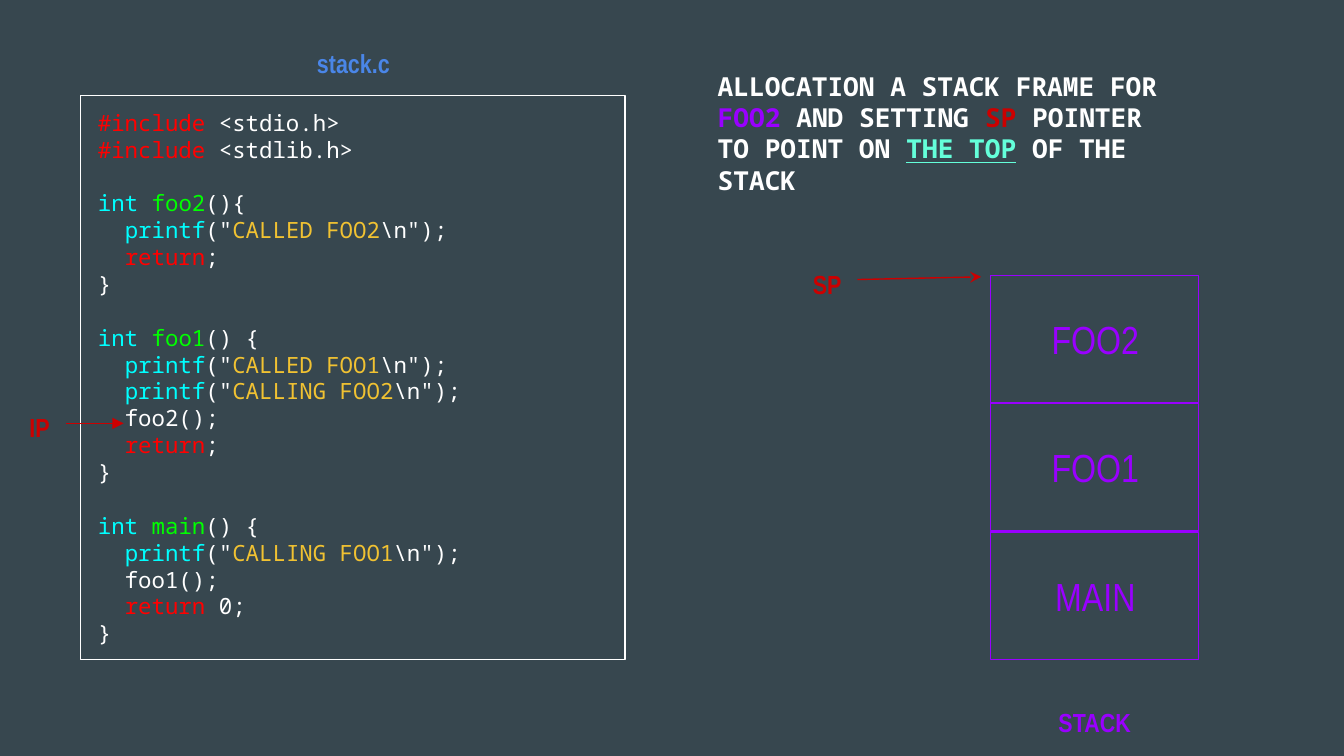
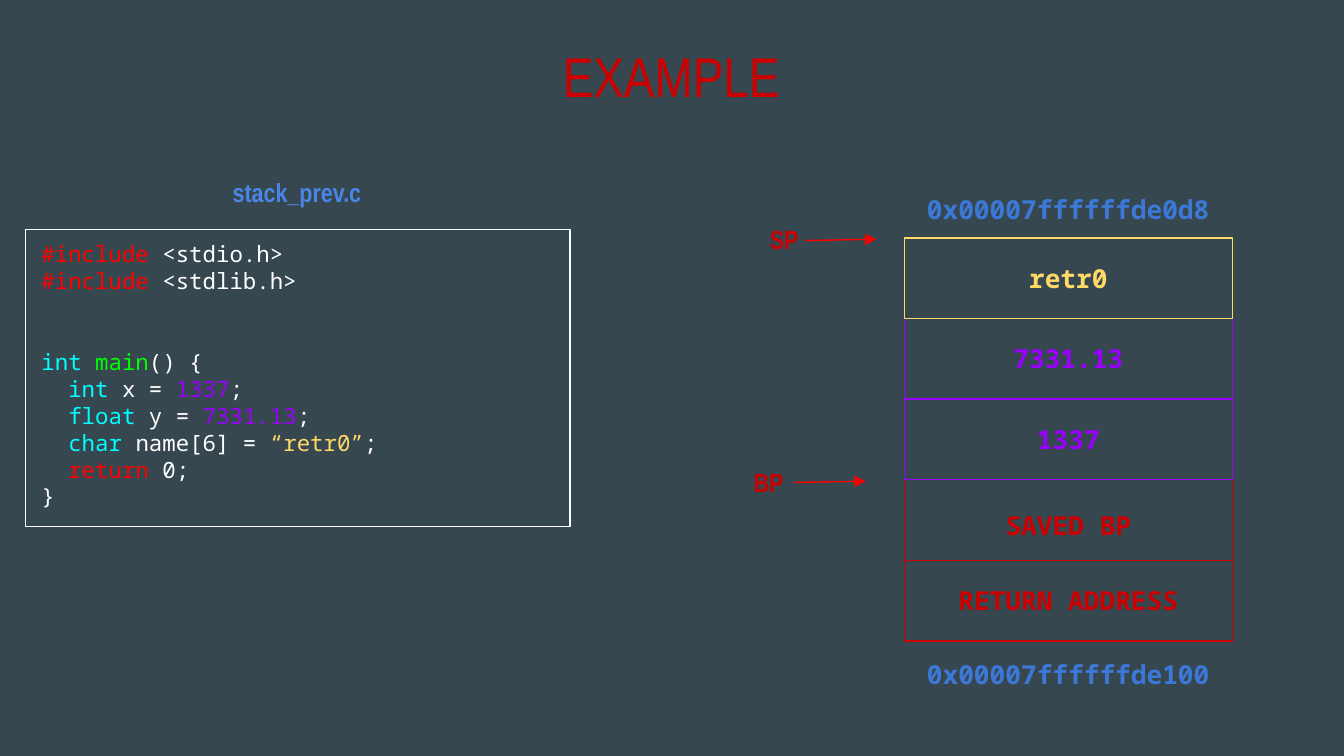
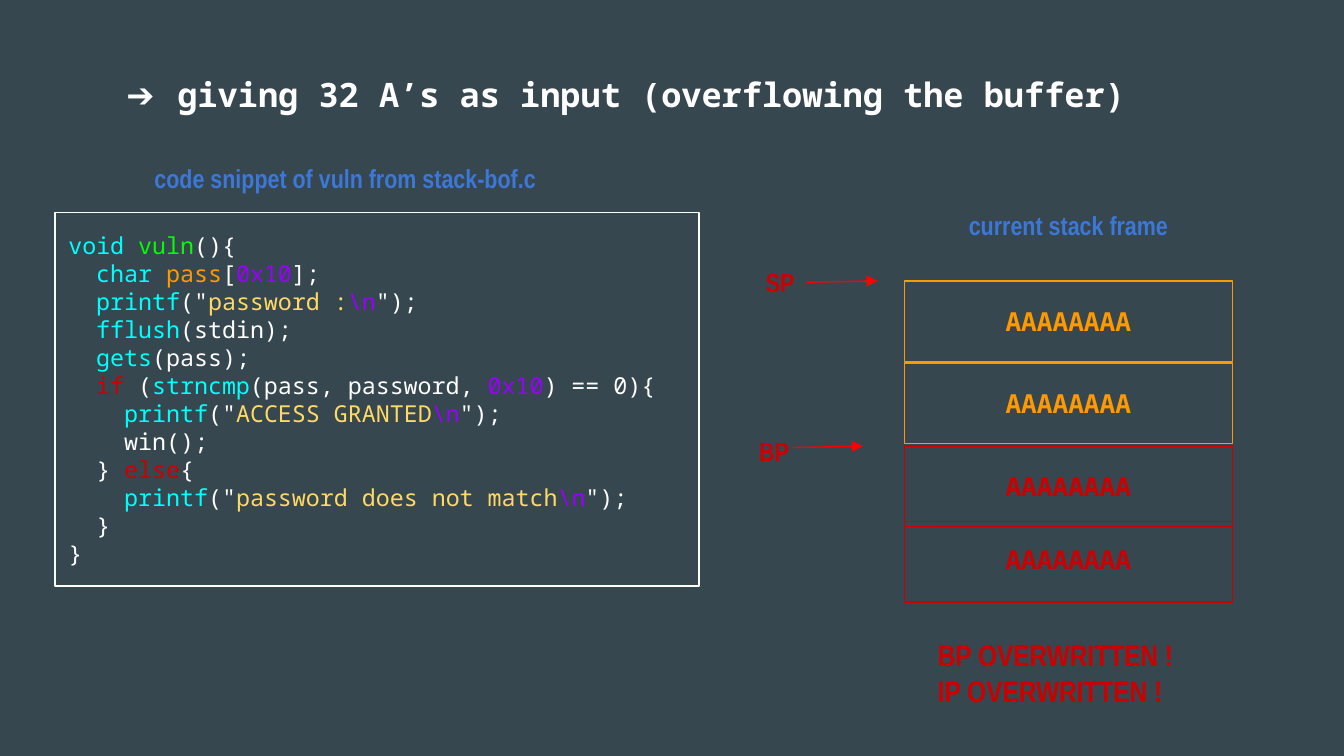
from lxml import etree
from pptx import Presentation
from pptx.dml.color import RGBColor
from pptx.enum.shapes import MSO_CONNECTOR, MSO_SHAPE
from pptx.enum.text import MSO_ANCHOR, MSO_AUTO_SIZE, PP_ALIGN
from pptx.oxml.ns import qn
from pptx.util import Inches, Pt

SLATE = RGBColor(0x37, 0x47, 0x4F)
WHITE = RGBColor(0xFF, 0xFF, 0xFF)
RED = RGBColor(0xFF, 0x00, 0x00)
CRIMSON = RGBColor(0xCC, 0x00, 0x00)
PURPLE = RGBColor(0x99, 0x00, 0xFF)
ORANGE = RGBColor(0xFF, 0x99, 0x00)
YELLOW = RGBColor(0xFF, 0xD9, 0x66)
GOLD = RGBColor(0xF1, 0xC2, 0x32)
CYAN = RGBColor(0x00, 0xFF, 0xFF)
GREEN = RGBColor(0x00, 0xFF, 0x00)
MINT = RGBColor(0x64, 0xFF, 0xDA)
SKY = RGBColor(0x4A, 0x86, 0xE8)
BLUE = RGBColor(0x3C, 0x78, 0xD8)
MARKS = {"red": RED, "crimson": CRIMSON, "purple": PURPLE, "orange": ORANGE,
         "yellow": YELLOW, "gold": GOLD, "cyan": CYAN, "green": GREEN, "mint": MINT}

MONO = "Noto Sans Mono"
NARROW = "Arial Narrow"
LINE_HEIGHT = 1.2

STACK_CODE = r"""|red:#include| <stdio.h>
|red:#include| <stdlib.h>

|cyan:int ||green:foo2|(){
  |cyan:printf|("|gold:CALLED FOO2|\n");
  |red:return|;
}

|cyan:int ||green:foo1|() {
  |cyan:printf|("|gold:CALLED FOO1|\n");
  |cyan:printf|("|gold:CALLING FOO2|\n");
  foo2();
  |red:return|;
}

|cyan:int ||green:main|() {
  |cyan:printf|("|gold:CALLING FOO1|\n");
  foo1();
  |red:return| 0;
}"""

VARIABLES_CODE = r"""|red:#include| <stdio.h>
|red:#include| <stdlib.h>


|cyan:int ||green:main|() {
  |cyan:int |x = |purple:1337|;
  |cyan:float |y = |purple:7331.13|;
  |cyan:char |name[6] = |yellow:“retr0”|;
  |red:return| 0;
}"""

VULN_CODE = r"""|cyan:void ||green:vuln|(){
  |cyan:char ||orange:pass|[|purple:0x10|];
  |cyan:printf|("|yellow:password :||purple:\n|");
  |cyan:fflush|(stdin);
  |cyan:gets|(pass);
  |crimson:if| (|cyan:strncmp|(pass, password, |purple:0x10|) == 0){
    |cyan:printf|("|yellow:ACCESS GRANTED||purple:\n|");
    win();
  } |crimson:else|{
    |cyan:printf|("|yellow:password does not match||purple:\n|");
  }
}"""


def inches(*lengths):
    return [Inches(length) for length in lengths]


def add_runs(paragraph, line, size, font, colour, bold):
    """Write a line in which |name:text| takes the colour called name."""
    for index, piece in enumerate(line.split("|")):
        if not piece:
            continue
        marked = index % 2 == 1
        name, _, words = piece.partition(":") if marked else ("", "", piece)
        run = paragraph.add_run()
        run.text = words
        run.font.size = Pt(size)
        run.font.name = font
        run.font.bold = bold
        run.font.underline = name == "mint"
        run.font.color.rgb = MARKS[name] if marked else colour


def write(frame, text, size, font=MONO, colour=WHITE, bold=True, align=PP_ALIGN.LEFT,
          anchor=MSO_ANCHOR.TOP, grow=True):
    """Fill a frame; an empty line becomes space before the next paragraph."""
    frame.word_wrap = True
    frame.auto_size = MSO_AUTO_SIZE.SHAPE_TO_FIT_TEXT if grow else MSO_AUTO_SIZE.NONE
    frame.vertical_anchor = anchor
    frame.margin_left = frame.margin_right = Inches(0.1)
    frame.margin_top = frame.margin_bottom = Inches(0.1)
    paragraph, empty_lines = None, 0
    for line in text.split("\n"):
        if not line:
            empty_lines += 1
            continue
        paragraph = frame.add_paragraph() if paragraph else frame.paragraphs[0]
        paragraph.alignment = align
        if empty_lines:
            paragraph.space_before = Pt(empty_lines * size * LINE_HEIGHT)
            empty_lines = 0
        add_runs(paragraph, line, size, font, colour, bold)


def new_slide(prs, title, place, size, **style):
    slide = prs.slides.add_slide(prs.slide_layouts[5])
    heading = slide.shapes.title
    heading.left, heading.top, heading.width, heading.height = inches(*place)
    write(heading.text_frame, title, size, **style)
    return slide


def add_label(slide, text, place, size=14, font=NARROW, align=PP_ALIGN.CENTER, **style):
    box = slide.shapes.add_textbox(*inches(*place))
    write(box.text_frame, text, size, font, align=align, **style)


def add_frame(slide, place, colour):
    frame = slide.shapes.add_shape(MSO_SHAPE.RECTANGLE, *inches(*place))
    frame.shadow.inherit = False
    frame.fill.background()
    frame.line.color.rgb = colour
    frame.line.width = Pt(0.75)
    return frame


def add_code(slide, code, frame_place, text_place):
    add_frame(slide, frame_place, WHITE)
    add_label(slide, code, text_place, size=12, font=MONO, align=PP_ALIGN.LEFT, bold=False)


def add_cell(slide, text, top, colour, label_drop=0.08):
    """Draw one 8-byte row of a stack frame."""
    add_frame(slide, (6.73, top, 2.44, 0.6), colour)
    add_label(slide, text, (6.93, top + label_drop, 2.04, 0.44), font=MONO, colour=colour)


def add_pointer(slide, register, label_place, start, end, colour=RED, head="triangle"):
    """Name a register and point an arrow at its target."""
    add_label(slide, register, label_place, colour=CRIMSON, align=PP_ALIGN.LEFT)
    arrow = slide.shapes.add_connector(MSO_CONNECTOR.STRAIGHT, *inches(*start, *end))
    arrow.line.color.rgb = colour
    arrow.line.width = Pt(0.75)
    etree.SubElement(arrow.line._get_or_add_ln(), qn("a:tailEnd"), type=head)
    etree.SubElement(arrow._element.spPr, qn("a:effectLst"))


def add_bullet(paragraph, symbol):
    props = paragraph._p.get_or_add_pPr()
    props.set("marL", str(Inches(0.5)))
    props.set("indent", str(Inches(-0.38)))
    bullet_colour = etree.SubElement(props, qn("a:buClr"))
    etree.SubElement(bullet_colour, qn("a:srgbClr"), val=str(WHITE))
    etree.SubElement(props, qn("a:buFont"), typeface=MONO)
    etree.SubElement(props, qn("a:buChar"), char=symbol)


def build_call_stack(prs):
    slide = new_slide(
        prs,
        "ALLOCATION A STACK FRAME FOR |purple:FOO2 |AND SETTING |crimson:SP |"
        "POINTER TO POINT ON |mint:THE TOP| OF THE STACK",
        (5.24, 0.42, 3.68, 0.91), 14)
    add_code(slide, STACK_CODE, (0.6, 0.71, 4.05, 4.2), (0.63, 0.71, 4.01, 4.44))
    add_label(slide, "stack.c", (1.61, 0.25, 2.04, 0.44), colour=SKY)
    for function, top in (("MAIN", 3.96), ("FOO1", 3), ("FOO2", 2.05)):
        add_frame(slide, (7.37, top, 1.55, 0.95), PURPLE)
        add_label(slide, function, (7.58, top + 0.2, 1.14, 0.56), size=21,
                  colour=PURPLE, bold=False)
    add_label(slide, "STACK", (7.4, 5.16, 1.49, 0.44), colour=PURPLE)
    add_pointer(slide, "SP", (5.95, 1.9, 0.61, 0.44), (6.38, 2.08), (7.3, 2.06),
                CRIMSON, "stealth")
    add_pointer(slide, "IP", (0.12, 2.96, 0.42, 0.44), (0.49, 3.15), (0.92, 3.15), CRIMSON)


def build_example(prs):
    slide = new_slide(prs, "EXAMPLE", (2.88, 0.21, 4.23, 0.71), 30, font=NARROW,
                      colour=CRIMSON, bold=False, align=PP_ALIGN.CENTER)
    add_code(slide, VARIABLES_CODE, (0.19, 1.71, 4.05, 2.21), (0.21, 1.69, 4.01, 2.42))
    add_label(slide, "stack_prev.c", (1.19, 1.21, 2.04, 0.44), colour=SKY)
    cells = [("retr0", YELLOW, 0.08), ("7331.13", PURPLE, 0.08), ("1337", PURPLE, 0.08),
             ("SAVED BP", CRIMSON, 0.12), ("RETURN ADDRESS", CRIMSON, 0.08)]
    for row, (content, colour, drop) in reversed(list(enumerate(cells))):
        add_cell(slide, content, 1.77 + 0.6 * row, colour, drop)
    for address, top in (("0x00007ffffffde0d8", 1.34), ("0x00007ffffffde100", 4.8)):
        add_label(slide, address, (6.65, top, 2.6, 0.44), font=MONO, colour=BLUE)
    add_pointer(slide, "SP", (5.63, 1.56, 0.61, 0.44), (5.99, 1.79), (6.52, 1.78))
    add_pointer(slide, "BP", (5.51, 3.37, 0.61, 0.44), (5.91, 3.59), (6.44, 3.58))


def build_overflow(prs):
    slide = new_slide(prs, "giving 32 A’s as input (overflowing the buffer)",
                      (0.72, 0.45, 7.88, 0.5), 18)
    add_bullet(slide.shapes.title.text_frame.paragraphs[0], "➔")
    snippet = add_frame(slide, (0.41, 1.58, 4.79, 2.78), WHITE)
    write(snippet.text_frame, VULN_CODE, 12.5, bold=False, anchor=MSO_ANCHOR.MIDDLE, grow=False)
    add_label(slide, "code snippet of vuln from stack-bof.c", (1.05, 1.11, 3.52, 0.44),
              colour=BLUE, align=PP_ALIGN.LEFT)
    add_label(slide, "current stack frame", (6.19, 1.46, 3.52, 0.44), colour=BLUE)
    for top, colour, drop in ((3.88, CRIMSON, 0.06), (3.32, CRIMSON, 0.08),
                              (2.7, ORANGE, 0.08), (2.09, ORANGE, 0.08)):
        add_cell(slide, "AAAAAAAA", top, colour, drop)
    add_pointer(slide, "SP", (5.6, 1.88, 0.61, 0.44), (6, 2.1), (6.53, 2.09))
    add_pointer(slide, "BP", (5.55, 3.14, 0.61, 0.44), (5.9, 3.33), (6.42, 3.32))
    add_label(slide, "BP OVERWRITTEN !\nIP OVERWRITTEN !", (6.88, 4.64, 3.27, 0.74),
              size=16, colour=CRIMSON, align=PP_ALIGN.LEFT)


def main():
    prs = Presentation()
    prs.slide_width = Inches(10)
    prs.slide_height = prs.slide_width * 9 // 16
    background = prs.slide_master.background.fill
    background.solid()
    background.fore_color.rgb = SLATE
    build_call_stack(prs)
    build_example(prs)
    build_overflow(prs)
    prs.save("out.pptx")


if __name__ == "__main__":
    main()
